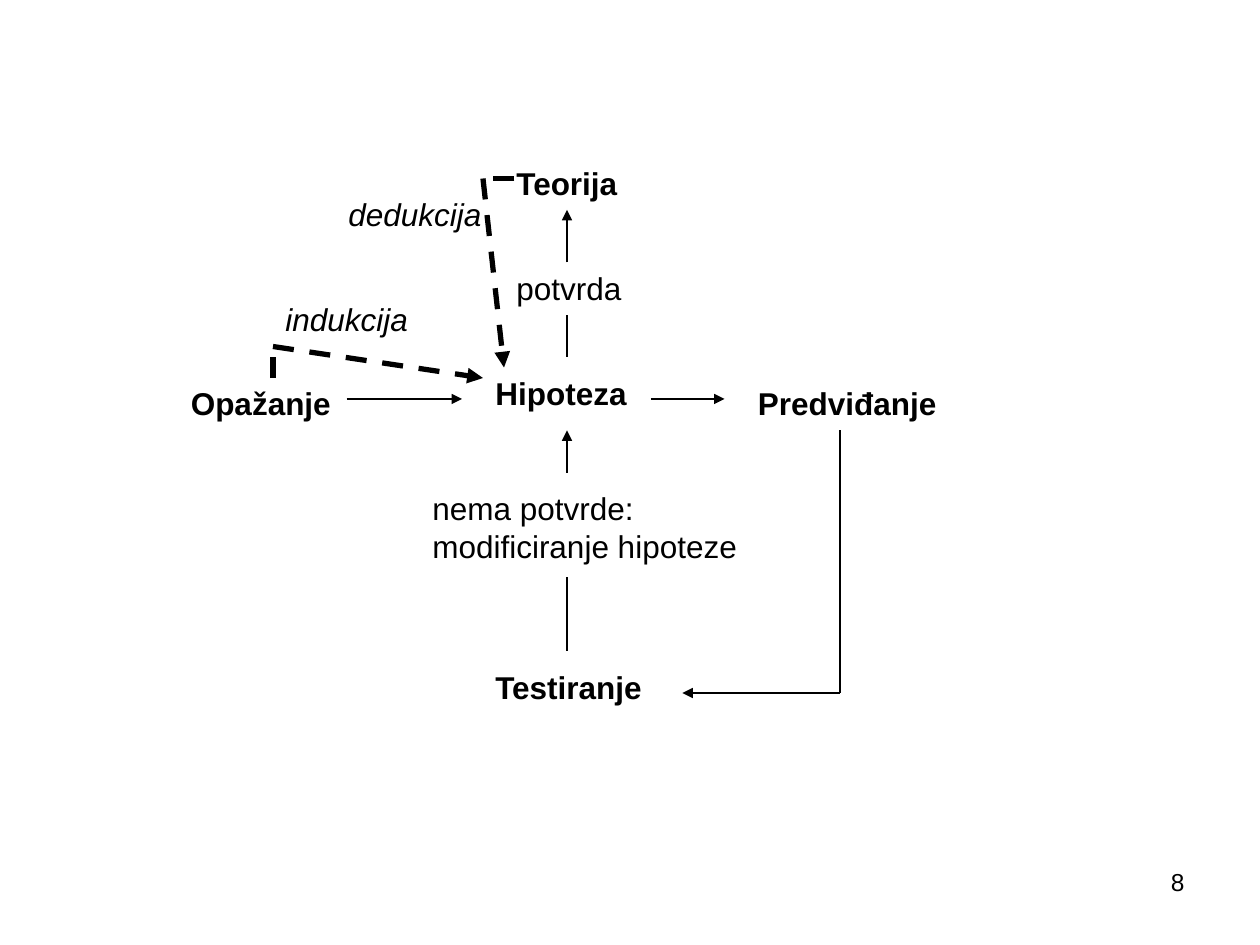
from dataclasses import dataclass
from itertools import pairwise

from lxml.etree import SubElement
from pptx import Presentation
from pptx.dml.color import RGBColor
from pptx.enum.dml import MSO_LINE
from pptx.enum.shapes import MSO_CONNECTOR
from pptx.enum.text import MSO_AUTO_SIZE, PP_ALIGN
from pptx.oxml.ns import qn
from pptx.util import Inches, Pt


@dataclass(frozen=True)
class Theme:
    """Colours, type and line widths of the slide."""
    ink: RGBColor = RGBColor(0, 0, 0)
    font: str = "Arial"
    label_size: int = 18
    number_size: int = 14
    thin: float = 0.75
    thick: float = 3


THEME = Theme()
CELLS_PER_INCH = 12


def grid(cells):
    """Turn a count of grid cells into a length."""
    return Inches(cells / CELLS_PER_INCH)


def add_label(page, text, column, row, columns, rows=4.8, *, size=THEME.label_size,
              bold=False, italic=False, wrap=False, grow=True, align=PP_ALIGN.LEFT):
    """Place text on the grid, one paragraph for each line."""
    box = page.shapes.add_textbox(*map(grid, (column, row, columns, rows)))
    frame = box.text_frame
    frame.word_wrap = wrap
    frame.auto_size = MSO_AUTO_SIZE.SHAPE_TO_FIT_TEXT if grow else MSO_AUTO_SIZE.NONE
    frame.text = text
    for para in frame.paragraphs:
        para.alignment = align
        font = para.runs[0].font
        font.name, font.size = THEME.font, Pt(size)
        font.bold, font.italic = bold, italic
        font.color.rgb = THEME.ink


def add_route(page, *points, arrow=True, dashed=False):
    """Join grid points with straight lines, with an arrowhead at the last."""
    for start, end in pairwise(points):
        line = page.shapes.add_connector(MSO_CONNECTOR.STRAIGHT, *map(grid, start + end))
        line.line.color.rgb = THEME.ink
        line.line.width = Pt(THEME.thick if dashed else THEME.thin)
        if dashed:
            line.line.dash_style = MSO_LINE.DASH
        properties = line._element.spPr
        if arrow and end == points[-1]:
            SubElement(properties.find(qn("a:ln")), qn("a:tailEnd"), type="triangle")
        SubElement(properties, qn("a:effectLst"))


def add_stages(page):
    """Write the stages of the research cycle."""
    for text, column, row, columns in (
        ("Opažanje", 17, 36, 19.7),
        ("Hipoteza", 46, 35, 15),
        ("Predviđanje", 71, 36, 21),
        ("Testiranje", 46, 63, 17),
        ("Teorija", 48, 15, 15),
    ):
        add_label(page, text, column, row, columns, bold=True, wrap=True)


def add_notes_on_links(page):
    """Write the outcomes and the two ways of reasoning."""
    add_label(page, "nema potvrde:\nmodificiranje hipoteze", 40, 46, 31.5, 8.4)
    add_label(page, "potvrda", 48, 25, 12.4)
    add_label(page, "dedukcija", 32, 18, 15.2, italic=True)
    add_label(page, "indukcija", 26, 28, 14.2, italic=True)


def add_links(page):
    """Draw the cycle in thin lines and the reasoning in dashed ones."""
    axis, middle = 54, 38
    add_route(page, (33, middle), (44, middle))
    add_route(page, (62, middle), (69, middle))
    add_route(page, (80, 41), (80, 66), (65, 66))
    for start, end, arrow in ((62, 55, False), (45, 41, True),
                              (34, 30, False), (25, 20, True)):
        add_route(page, (axis, start), (axis, end), arrow=arrow)
    add_route(page, (49, 17), (46, 17), (48, 35), dashed=True)
    add_route(page, (26, 36), (26, 33), (46, 36), dashed=True)


def main():
    """Build the slide and save it."""
    deck = Presentation()
    deck.slide_width, deck.slide_height = Inches(10), Inches(7.5)
    page = deck.slides.add_slide(deck.slide_layouts[6])
    add_links(page)
    add_stages(page)
    add_notes_on_links(page)
    add_label(page, "8", 86, 82, 28, 6.25, size=THEME.number_size,
              wrap=True, grow=False, align=PP_ALIGN.RIGHT)
    deck.save("out.pptx")


main()
